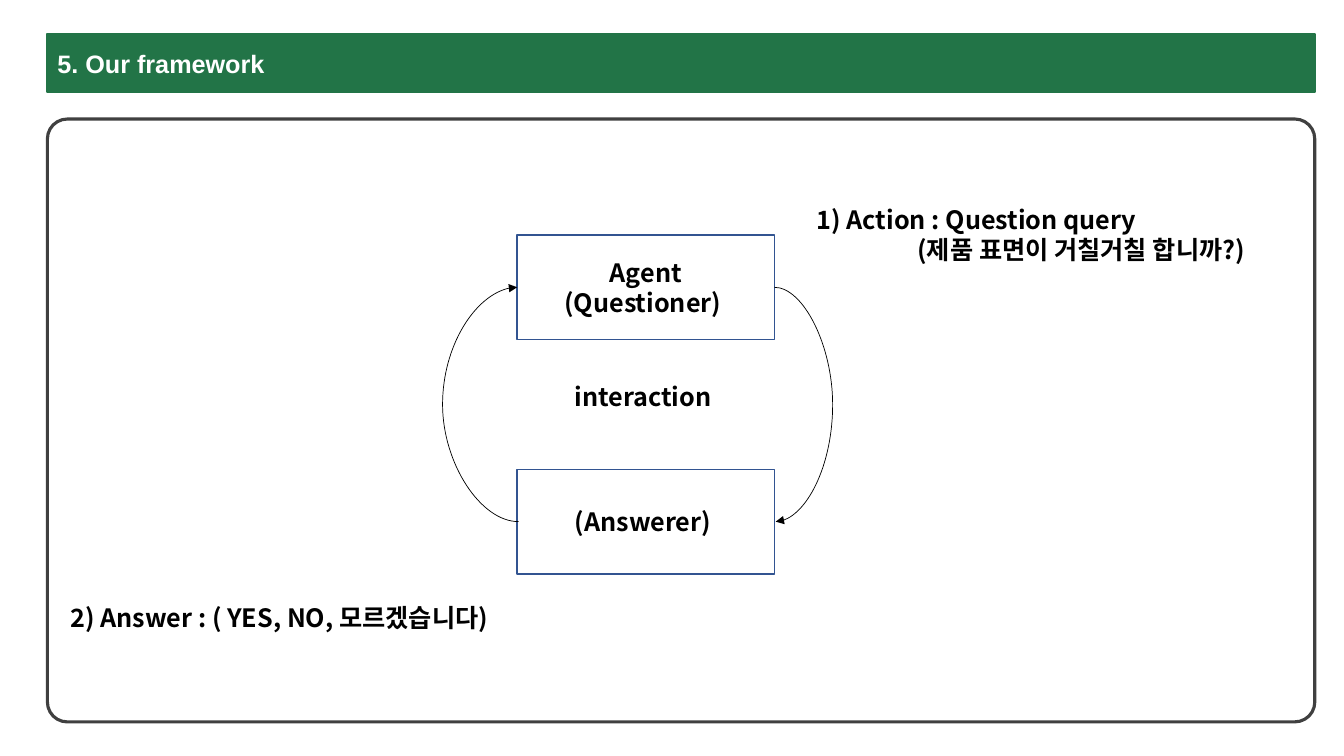
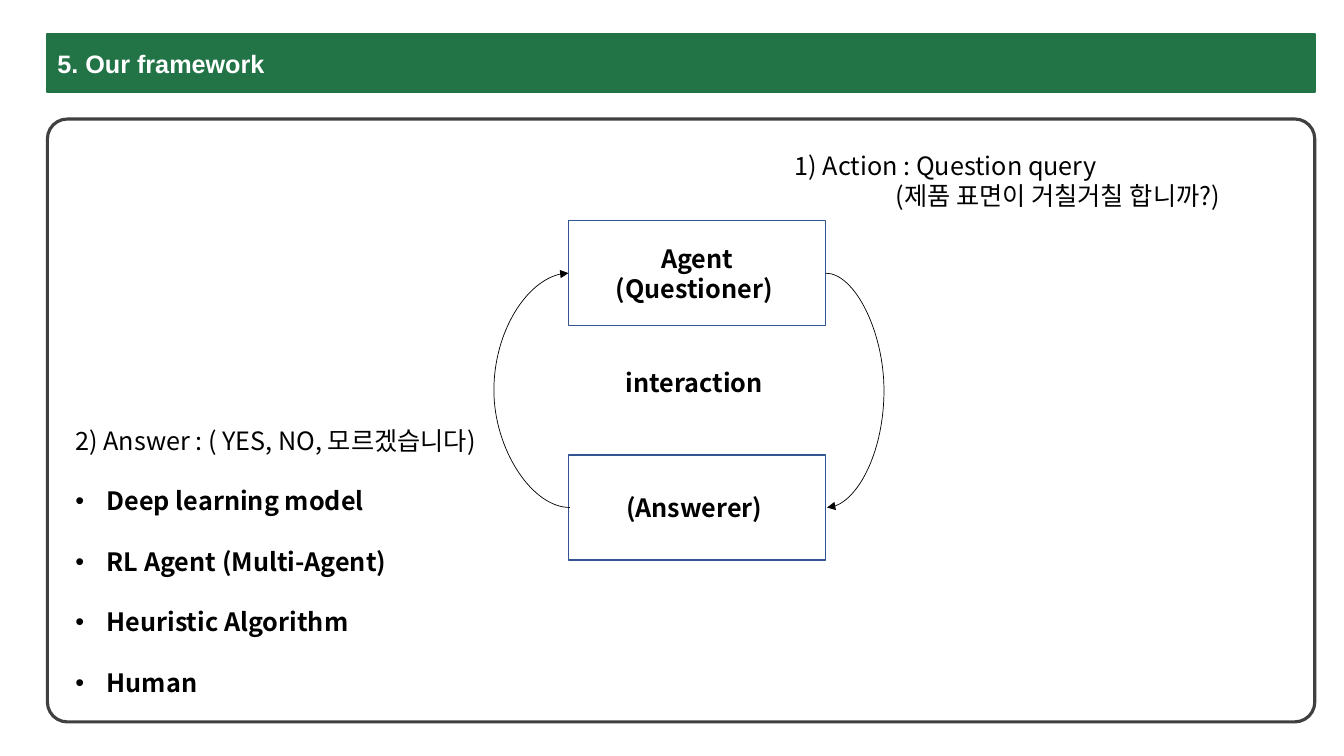
from pptx import Presentation
from pptx.dml.color import RGBColor
from pptx.enum.shapes import MSO_CONNECTOR, MSO_SHAPE
from pptx.enum.text import MSO_ANCHOR, PP_ALIGN
from pptx.oxml.ns import qn
from pptx.util import Inches, Pt
from lxml.etree import SubElement

COLORS = {"green": "227447", "frame": "404040", "box": "325491",
          "ink": "000000", "white": "FFFFFF"}
TITLE_FONT, BODY_FONT = "Arial", "Noto Sans CJK KR"
TEXT_SIZE = Pt(18)

# Places and sizes, in percent of the slide
MARGIN, CONTENT_WIDTH = 3.53, 94.3
BAND_AREA = (MARGIN, 4.5, CONTENT_WIDTH, 7.73)
FRAME_AREA = (MARGIN, 15.75, CONTENT_WIDTH, 79.75)
BOX_WIDTH, BOX_HEIGHT, BOX_STEP = 19.13, 13.87, 31
LABEL_DROP, LINE_HEIGHT = 18.7, 5.33
ACTION_WIDTH, ACTION_HEIGHT = 39.38, 9.47

# Indents and the space between list items
EXAMPLE_INDENT, ITEM_INDENT, ITEM_GAP = Inches(1), Inches(0.31), Pt(21.6)

# Arrows bulge sideways by a multiple of their width, 100000 being one width
ARROW_WIDTH = Pt(1)
RIGHT_BULGE, LEFT_BULGE = 4200000, 5470600
LEFT_SITE, RIGHT_SITE = 1, 3

# Wording
TITLE = "5. Our framework"
ROLES = [["Agent", "(Questioner) "], ["(Answerer) "]]
ACTION = ["1) Action : Question query", "(제품 표면이 거칠거칠 합니까?)"]
ANSWER = "2) Answer : ( YES, NO, 모르겠습니다)"

# What differs from slide to slide
SLIDES = [
    {"diagram": (38.48, 31.07), "action": (60.02, 26.4),
     "answer": (4.5, 78.95, 39.38, LINE_HEIGHT), "bold": True, "answerers": []},
    {"diagram": (42.3, 29.2), "action": (58.4, 19.2),
     "answer": (4.88, 55.6, 52.66, 37.73), "bold": False,
     "answerers": ["Deep learning model", "RL Agent (Multi-Agent)",
                   "Heuristic Algorithm", "Human"]},
]

deck = Presentation()
deck.slide_width, deck.slide_height = Inches(13.33), Inches(7.5)


def add_part(slide, area, preset=None, line=None, weight=1, fill=None):
    """Add a shape, or a text box without a preset, placed in percent."""
    sides = (deck.slide_width, deck.slide_height) * 2
    place = [round(side * share / 100) for side, share in zip(sides, area)]
    if preset is None:
        part = slide.shapes.add_textbox(*place)
    else:
        part = slide.shapes.add_shape(preset, *place)
        part.shadow.inherit = False
        part.line.color.rgb = RGBColor.from_string(COLORS[line])
        part.line.width = Pt(weight)
        if fill:
            part.fill.solid()
            part.fill.fore_color.rgb = RGBColor.from_string(COLORS[fill])
        else:
            part.fill.background()
        part.text_frame.vertical_anchor = MSO_ANCHOR.MIDDLE
    part.text_frame.word_wrap = True
    return part


def write(part, lines, bold=True, align=PP_ALIGN.LEFT, font=BODY_FONT, color="ink"):
    """Write one paragraph per line and return the paragraphs."""
    frame = part.text_frame
    for number, line in enumerate(lines):
        paragraph = frame.add_paragraph() if number else frame.paragraphs[0]
        paragraph.alignment = align
        run = paragraph.add_run()
        run.text = line
        run.font.size, run.font.bold, run.font.name = TEXT_SIZE, bold, font
        run.font.color.rgb = RGBColor.from_string(COLORS[color])
        # Korean letters take their font from the East Asian setting
        SubElement(run._r.get_or_add_rPr(), qn("a:ea")).set("typeface", font)
    return frame.paragraphs


for content in SLIDES:
    slide = deck.slides.add_slide(deck.slide_layouts[6])

    # Frame and title band
    frame = add_part(slide, FRAME_AREA, MSO_SHAPE.ROUNDED_RECTANGLE, "frame", 2.25)
    frame.adjustments[0] = 0.033
    band = add_part(slide, BAND_AREA, MSO_SHAPE.RECTANGLE, "green", 1.5, "green")
    write(band, [TITLE], font=TITLE_FONT, color="white")

    # Agent above answerer, with the label between them
    left, top = content["diagram"]
    boxes = []
    for row, role in enumerate(ROLES):
        box = add_part(slide, (left, top + row * BOX_STEP, BOX_WIDTH, BOX_HEIGHT),
                       MSO_SHAPE.RECTANGLE, "box")
        write(box, role, align=PP_ALIGN.CENTER)
        boxes.append(box)
    agent, answerer = boxes
    interaction = add_part(slide, (left, top + LABEL_DROP, BOX_WIDTH, LINE_HEIGHT))
    write(interaction, ["interaction "], align=PP_ALIGN.CENTER)

    # Loop: the question goes down on the right, the reply up on the left
    for start, end, site, bulge in [(agent, answerer, RIGHT_SITE, RIGHT_BULGE),
                                    (answerer, agent, LEFT_SITE, LEFT_BULGE)]:
        arrow = slide.shapes.add_connector(MSO_CONNECTOR.CURVE, 0, 0, 0, 0)
        arrow.begin_connect(start, site)
        arrow.end_connect(end, site)
        # The bulge needs a width to multiply
        if site == RIGHT_SITE:
            arrow.end_x += ARROW_WIDTH
        else:
            arrow.begin_x += ARROW_WIDTH
        arrow.line.color.rgb = RGBColor.from_string(COLORS["ink"])
        arrow.line.width = Pt(0.5)
        properties = arrow._element.spPr
        SubElement(properties.find(qn("a:ln")), qn("a:tailEnd")).set("type", "triangle")
        SubElement(properties, qn("a:effectLst"))
        guides = properties.find(qn("a:prstGeom")).get_or_add_avLst()
        guide = SubElement(guides, qn("a:gd"))
        guide.set("name", "adj1")
        guide.set("fmla", f"val {bulge}")

    # Action of the agent, with its example indented
    action = add_part(slide, (*content["action"], ACTION_WIDTH, ACTION_HEIGHT))
    query, example = write(action, ACTION, content["bold"])
    example._p.get_or_add_pPr().set("marL", str(EXAMPLE_INDENT))

    # Answer, followed by a bulleted list of possible answerers
    answer = add_part(slide, content["answer"])
    reply, *items = write(answer, [ANSWER, *content["answerers"]], content["bold"])
    for item in items:
        item.space_before = ITEM_GAP
        item.runs[0].font.bold = True
        settings = item._p.get_or_add_pPr()
        settings.set("marL", str(ITEM_INDENT))
        settings.set("indent", str(-ITEM_INDENT))
        SubElement(settings, qn("a:buFont")).set("typeface", TITLE_FONT)
        SubElement(settings, qn("a:buChar")).set("char", "•")

deck.save("out.pptx")
